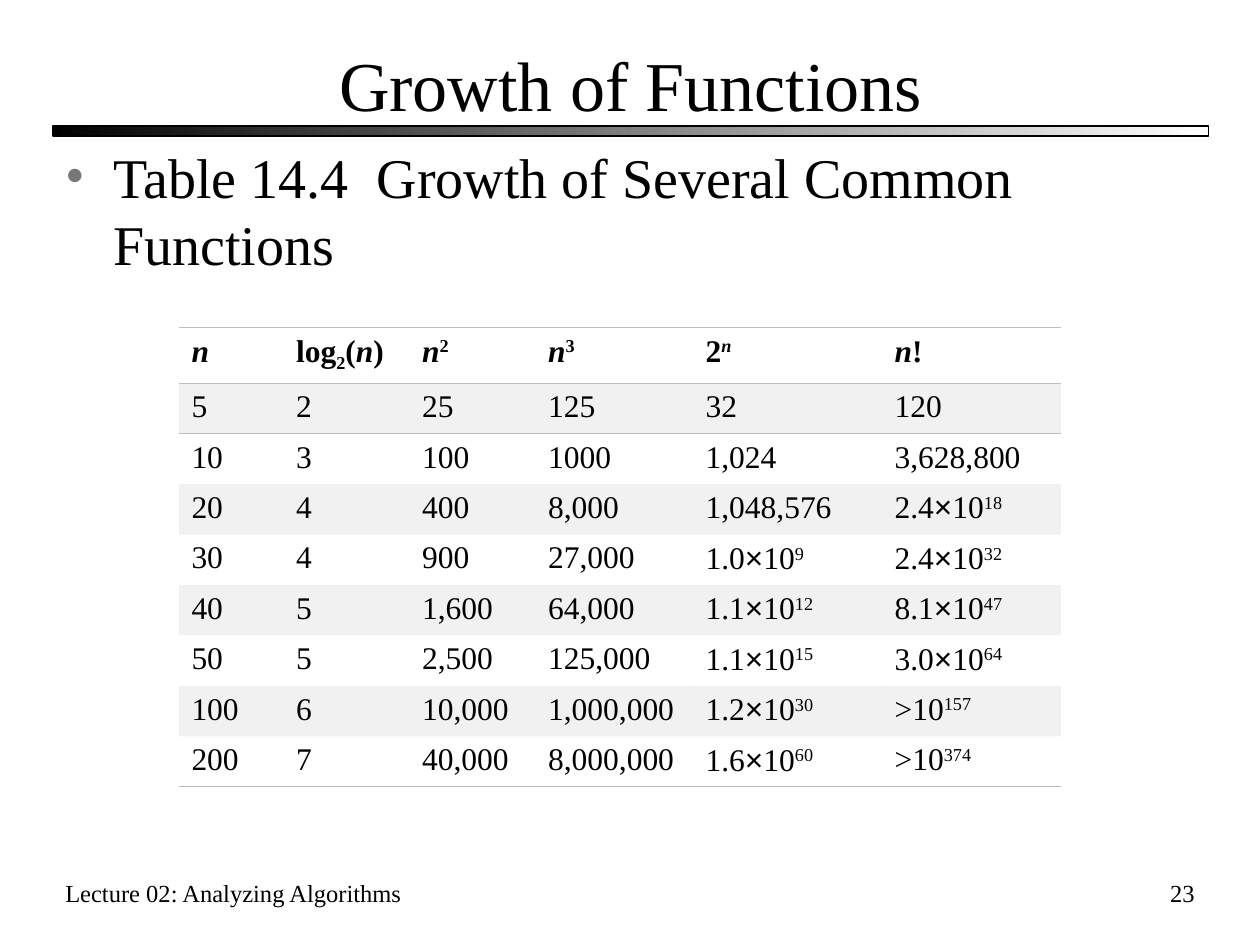
from lxml import etree
from pptx import Presentation, util as u
from pptx.dml.color import RGBColor
from pptx.enum import shapes, text as t
from pptx.oxml import ns

BLACK = RGBColor(0, 0, 0)
WHITE = RGBColor(255, 255, 255)
BULLET_GRAY = RGBColor(0x77, 0x77, 0x77)
TABLE_GRAY = RGBColor(0xBD, 0xBD, 0xBD)
SERIF = "Times New Roman"
PLAIN_TABLE_STYLE = "{2D5ABB26-0587-4C30-8999-92F81FD0307C}"


def add_xml(parent, tag, **attributes):
    element = etree.SubElement(parent, ns.qn(tag))
    for name, value in attributes.items():
        element.set(name, str(value))
    return element


def write_text(frame, text, size=18, bold=False, align=t.PP_ALIGN.LEFT,
               anchor=t.MSO_ANCHOR.TOP):
    """Write runs parted by |; ^ raises a run, _ lowers it, a lone n is italic."""
    frame.word_wrap = True
    frame.vertical_anchor = anchor
    paragraph = frame.paragraphs[0]
    paragraph.alignment = align
    for part in text.split("|"):
        run = paragraph.add_run()
        run.text = part.lstrip("^_")
        run.font.name = "Arial" if part == "×" else SERIF
        run.font.size = u.Pt(size)
        run.font.bold = bold
        run.font.italic = run.text == "n"
        run.font.color.rgb = BLACK
        baseline = {"^": 30000, "_": -25000}.get(part[0])
        if baseline:
            run.font._element.set("baseline", str(baseline))
    return paragraph


presentation = Presentation()
presentation.slide_width = u.Inches(10)
presentation.slide_height = u.Inches(7.5)
slide = presentation.slides.add_slide(presentation.slide_layouts[6])

# Gradient rule under the title
rule = slide.shapes.add_shape(shapes.MSO_SHAPE.RECTANGLE, u.Inches(0.42), u.Inches(1),
                              u.Inches(9.17), u.Inches(0.08))
rule.shadow.inherit = False
rule.fill.gradient()
rule.fill.gradient_angle = 0
for stop, color, position in zip(rule.fill.gradient_stops, (BLACK, WHITE), (0, 1)):
    stop.color.rgb = color
    stop.position = position
rule.line.color.rgb = BLACK
rule.line.width = u.Pt(0.75)

# Title, bullet and footer
text_boxes = [
    ("Growth of Functions", (0.42, 0.33, 9.17, 0.67),
     dict(size=40, align=t.PP_ALIGN.CENTER, anchor=t.MSO_ANCHOR.MIDDLE)),
    ("Table 14.4  Growth of Several Common Functions", (0.42, 1.08, 9.17, 5.75),
     dict(size=32)),
    ("Lecture 02: Analyzing Algorithms", (0.42, 6.92, 3.5, 0.5), dict(size=14)),
    ("23", (7.5, 6.92, 2.08, 0.5), dict(size=14, align=t.PP_ALIGN.RIGHT)),
]
for text, place, text_format in text_boxes:
    box = slide.shapes.add_textbox(*map(u.Inches, place))
    paragraph = write_text(box.text_frame, text, **text_format)
    if text.startswith("Table"):
        properties = paragraph._p.get_or_add_pPr()
        properties.set("marL", str(u.Inches(0.38)))
        properties.set("indent", str(u.Inches(-0.38)))
        bullet_color = add_xml(properties, "a:buClr")
        add_xml(bullet_color, "a:srgbClr", val=BULLET_GRAY)
        add_xml(properties, "a:buFont", typeface=SERIF)
        add_xml(properties, "a:buChar", char="•")

# Growth table
rows = [
    ["n", "log|_2|(|n|)", "n|^2", "n|^3", "2|^n", "n|!"],
    ["5", "2", "25", "125", "32", "120"],
    ["10", "3", "100", "1000", "1,024", "3,628,800"],
    ["20", "4", "400", "8,000", "1,048,576", "2.4|×|10|^18"],
    ["30", "4", "900", "27,000", "1.0|×|10|^9", "2.4|×|10|^32"],
    ["40", "5", "1,600", "64,000", "1.1|×|10|^12", "8.1|×|10|^47"],
    ["50", "5", "2,500", "125,000", "1.1|×|10|^15", "3.0|×|10|^64"],
    ["100", "6", "10,000", "1,000,000", "1.2|×|10|^30", ">10|^157"],
    ["200", "7", "40,000", "8,000,000", "1.6|×|10|^60", ">10|^374"],
]
column_widths = [0.83, 1, 1, 1.25, 1.5, 1.42]
last_row = len(rows) - 1
frame = slide.shapes.add_table(len(rows), len(column_widths), u.Inches(1.42),
                               u.Inches(2.6), u.Inches(7), u.Inches(3.65))
table = frame.table
table._tbl.tblPr.find(ns.qn("a:tableStyleId")).text = PLAIN_TABLE_STYLE
for column, width in zip(table.columns, column_widths):
    column.width = u.Inches(width)
for row_index, values in enumerate(rows):
    table.rows[row_index].height = u.Inches(0.4 if row_index else 0.44)
    for column_index, value in enumerate(values):
        cell = table.cell(row_index, column_index)
        write_text(cell.text_frame, value, bold=row_index == 0)
        properties = cell._tc.get_or_add_tcPr()
        sides = {0: ["a:lnT", "a:lnB"], 1: ["a:lnT"], last_row: ["a:lnB"]}
        for side in sides.get(row_index, []):
            border = add_xml(properties, side, w=u.Pt(0.45))
            add_xml(add_xml(border, "a:solidFill"), "a:srgbClr", val=TABLE_GRAY)
        if row_index % 2:
            band = add_xml(properties, "a:solidFill")
            add_xml(add_xml(band, "a:srgbClr", val=TABLE_GRAY), "a:alpha", val=20000)
        else:
            cell.fill.background()

presentation.save("out.pptx")
